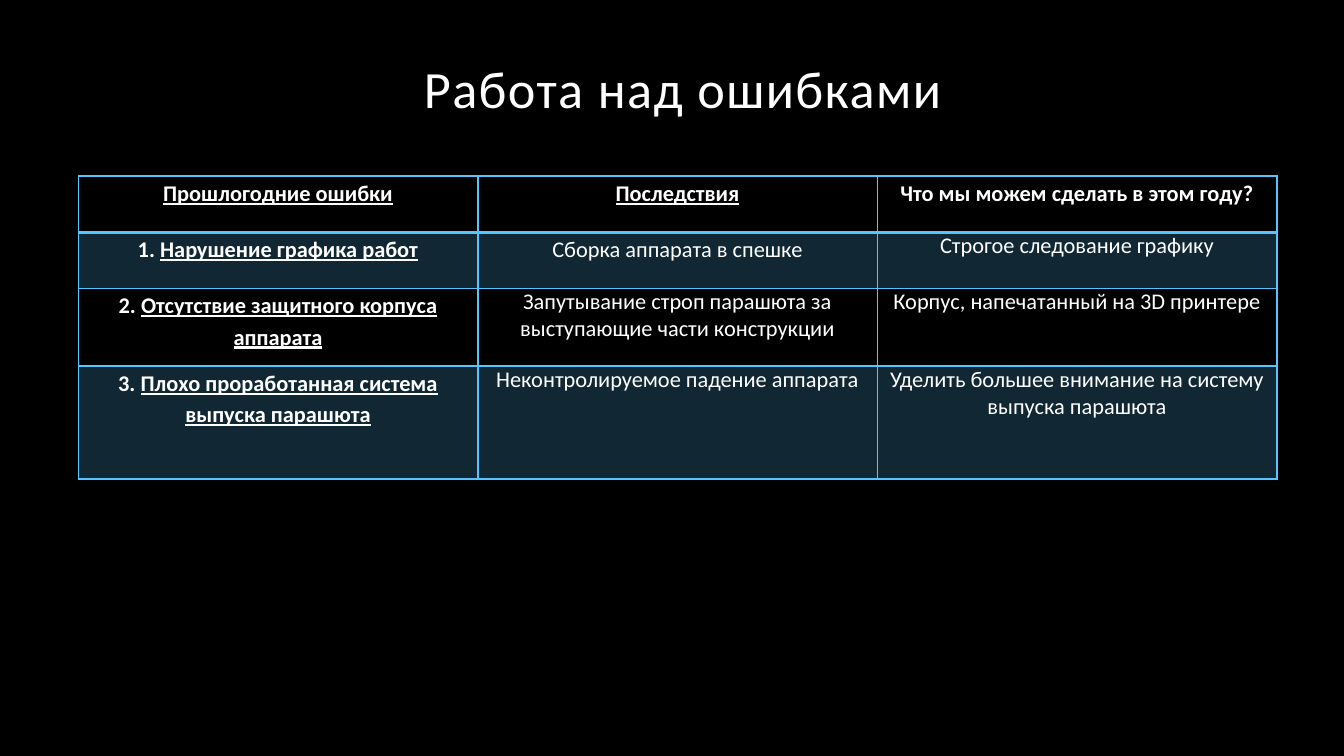
from lxml.etree import SubElement
from pptx import Presentation
from pptx.dml.color import RGBColor
from pptx.enum.text import MSO_ANCHOR, PP_ALIGN
from pptx.oxml.ns import qn
from pptx.util import Cm, Pt

BLACK = RGBColor(0x00, 0x00, 0x00)
WHITE = RGBColor(0xFF, 0xFF, 0xFF)
SKY = RGBColor(0x56, 0xC5, 0xFF)
FONT = "Calibri"


def add_run(paragraph, text, **formats):
    run = paragraph.add_run()
    run.text = text
    run.font.color.rgb = WHITE
    for name, value in {"name": FONT, **formats}.items():
        setattr(run.font, name, value)
    return run


def add_border(cell, side, points):
    line = SubElement(cell._tc.get_or_add_tcPr(), qn(f"a:{side}"), w=str(Pt(points)))
    fill = SubElement(line, qn("a:solidFill"))
    SubElement(fill, qn("a:srgbClr"), val=str(SKY))


presentation = Presentation()
presentation.slide_width = Cm(25.4)
presentation.slide_height = Cm(14.29)
slide = presentation.slides.add_slide(presentation.slide_layouts[5])
slide.background.fill.solid()
slide.background.fill.fore_color.rgb = BLACK

title = slide.shapes.title
for name, value in {"left": 3.38, "top": -0.48, "width": 19.05, "height": 2.84}.items():
    setattr(title, name, Cm(value))
frame = title.text_frame
frame_formats = {
    "vertical_anchor": MSO_ANCHOR.BOTTOM, "word_wrap": True,
    "margin_left": Cm(0.18), "margin_right": Cm(0.18),
    "margin_top": Cm(0.1), "margin_bottom": Cm(0.1),
}
for name, value in frame_formats.items():
    setattr(frame, name, value)
paragraph = frame.paragraphs[0]
paragraph.alignment = PP_ALIGN.CENTER
paragraph.line_spacing = 0.9
run = add_run(paragraph, "Работа над ошибками", size=Pt(28))
run._r.get_or_add_rPr().set("spc", "80")

headers = ["Прошлогодние ошибки", "Последствия", "Что мы можем сделать в этом году?"]
rows = [
    ["Нарушение графика работ", "Сборка аппарата в спешке", "Строгое следование графику"],
    ["Отсутствие защитного корпуса аппарата",
     "Запутывание строп парашюта за выступающие части конструкции",
     "Корпус, напечатанный на 3D принтере"],
    ["Плохо проработанная система выпуска парашюта",
     "Неконтролируемое падение аппарата",
     "Уделить большее внимание на систему выпуска парашюта"],
]
row_heights = [1.06, 1.06, 1.47, 2.13]
column_width = 7.55
spaced_cells = {(1, 1)}

table = slide.shapes.add_table(
    len(row_heights), len(headers), Cm(1.48), Cm(3.33),
    Cm(column_width * len(headers)), Cm(sum(row_heights)),
).table
table.first_row = False
table.horz_banding = False
for column in table.columns:
    column.width = Cm(column_width)
for row, height in zip(table.rows, row_heights):
    row.height = Cm(height)

cell_formats = {
    "margin_left": Cm(0.18), "margin_right": Cm(0.18),
    "margin_top": 0, "margin_bottom": 0, "vertical_anchor": MSO_ANCHOR.TOP,
}
for row_index, texts in enumerate([headers] + rows):
    for column_index, text in enumerate(texts):
        cell = table.cell(row_index, column_index)
        for name, value in cell_formats.items():
            setattr(cell, name, value)

        is_header = row_index == 0
        is_error = column_index == 0
        paragraph = cell.text_frame.paragraphs[0]
        paragraph.alignment = PP_ALIGN.CENTER
        if is_header or is_error or (row_index, column_index) in spaced_cells:
            paragraph.line_spacing = 1.15
            paragraph.space_after = Pt(10)
        bold = is_header or is_error
        if is_error and not is_header:
            add_run(paragraph, f"{row_index}. ", size=Pt(12), bold=True)
        underline = is_error or (is_header and column_index == 1)
        add_run(paragraph, text, size=Pt(12), bold=bold, underline=underline)

        add_border(cell, "lnL", 1)
        add_border(cell, "lnR", 1)
        add_border(cell, "lnT", 2 if row_index == 1 else 1)
        add_border(cell, "lnB", 2 if is_header else 1)
        if row_index % 2:
            cell.fill.solid()
            cell.fill.fore_color.rgb = SKY
            color = cell._tc.tcPr.find(f"{qn('a:solidFill')}/{qn('a:srgbClr')}")
            SubElement(color, qn("a:alpha"), val="20000")
        else:
            cell.fill.background()

presentation.save("out.pptx")
